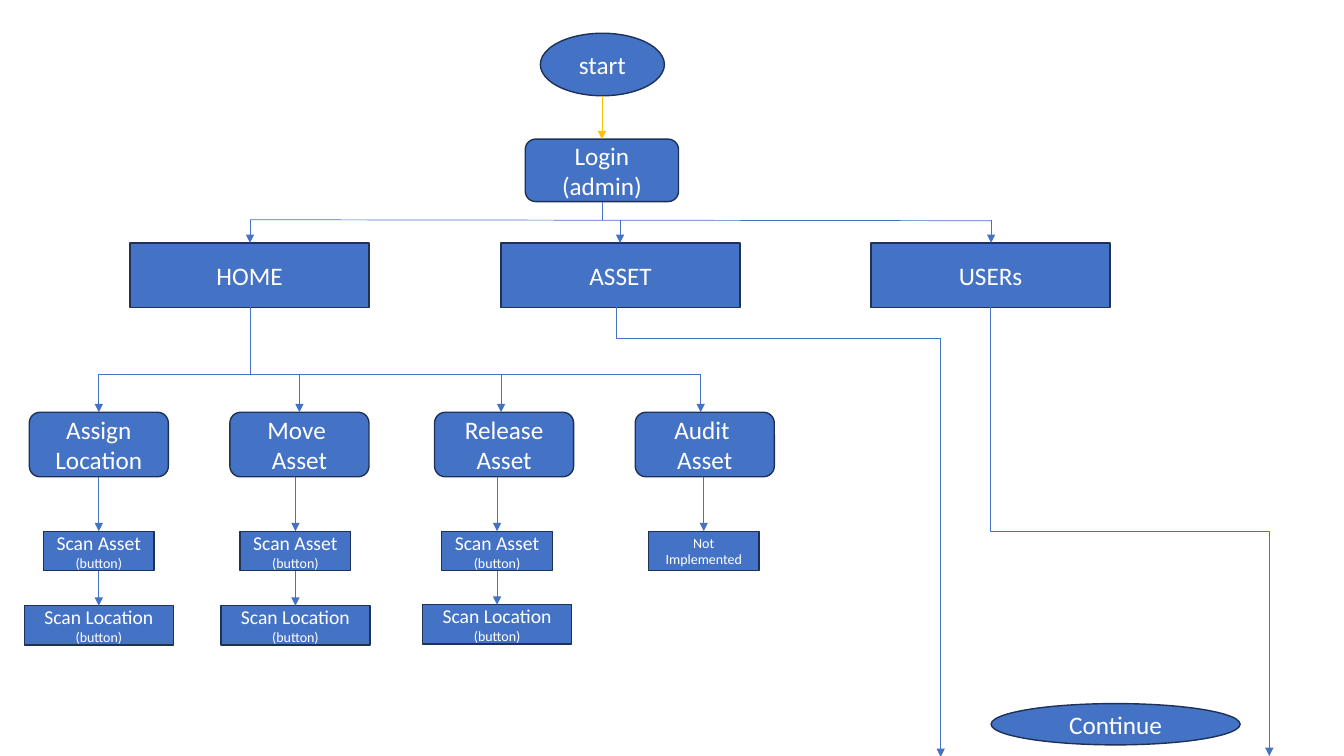
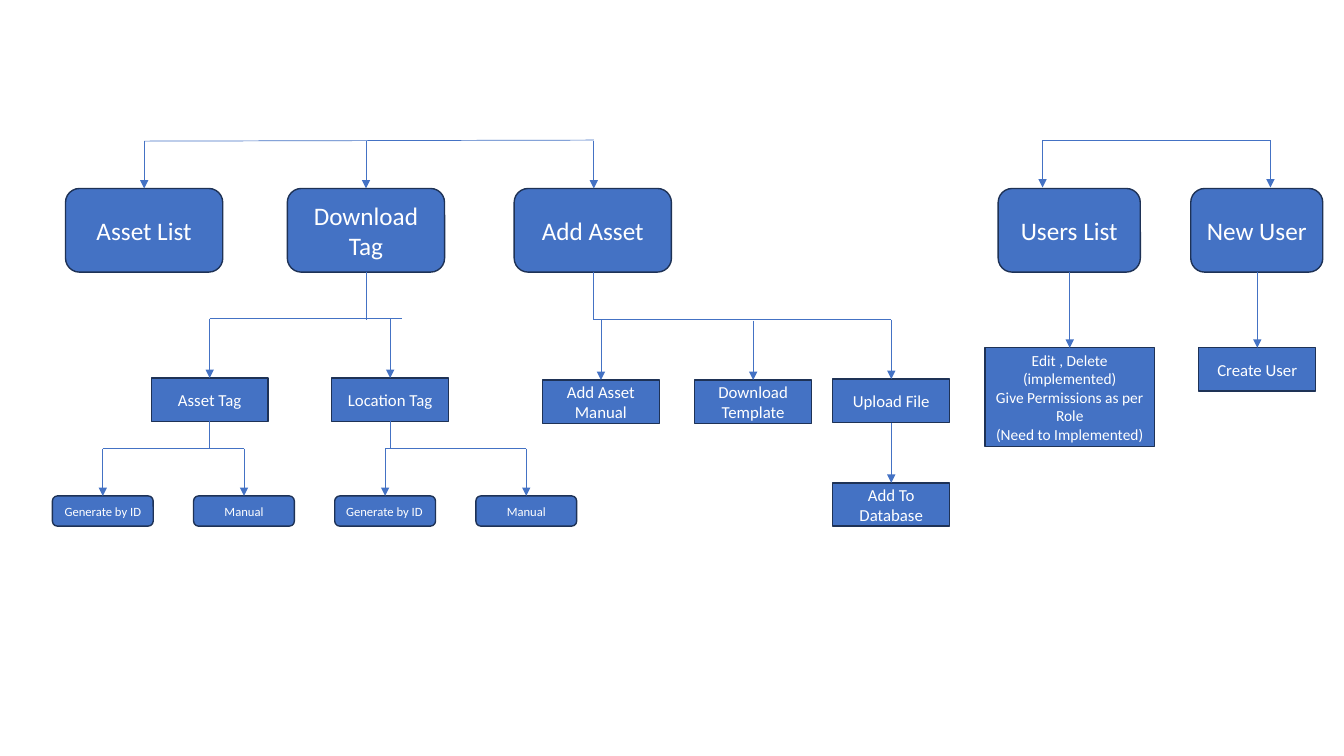
from lxml import etree
from pptx import Presentation
from pptx.dml.color import RGBColor
from pptx.enum import shapes, text as text_enum
from pptx.oxml.ns import qn
from pptx.util import Inches, Pt

COLORS = {"box": "4472C4", "outline": "1E3256", "text": "FFFFFF", "start": "FFC000"}
FONT = "Calibri"
RECT = shapes.MSO_SHAPE.RECTANGLE
ROUND = shapes.MSO_SHAPE.ROUNDED_RECTANGLE
OVAL = shapes.MSO_SHAPE.OVAL
CENTER = text_enum.PP_ALIGN.CENTER
LEFT = text_enum.PP_ALIGN.LEFT


def add_box(slide, text, left, top, width, height, kind=RECT, size=18, note=None, align=CENTER):
    """Draw a flowchart box; note is a smaller last line."""
    shape = slide.shapes.add_shape(kind, Inches(left), Inches(top), Inches(width), Inches(height))
    shape.shadow.inherit = False
    shape.fill.solid()
    shape.fill.fore_color.rgb = RGBColor.from_string(COLORS["box"])
    shape.line.color.rgb = RGBColor.from_string(COLORS["outline"])
    shape.line.width = Pt(1)
    frame = shape.text_frame
    frame.word_wrap = True
    frame.vertical_anchor = text_enum.MSO_ANCHOR.MIDDLE
    paragraph = frame.paragraphs[0]
    paragraph.alignment = align
    lines = [(line, size) for line in text.split("\n")]
    if note:
        lines.append((note, 10))
    for index, (line, points) in enumerate(lines):
        if index:
            paragraph.add_line_break()
        run = paragraph.add_run()
        run.text = line
        run.font.name = FONT
        run.font.size = Pt(points)
        run.font.color.rgb = RGBColor.from_string(COLORS["text"])
    for line_break in paragraph._p.findall(qn("a:br")):
        etree.SubElement(line_break, qn("a:rPr"), sz=str(size * 100))


def add_line(slide, x1, y1, x2, y2, arrow=False, color="box", kind=shapes.MSO_CONNECTOR.STRAIGHT):
    """Draw a thin connector, with an arrowhead at its end if asked."""
    connector = slide.shapes.add_connector(kind, Inches(x1), Inches(y1), Inches(x2), Inches(y2))
    connector.line.color.rgb = RGBColor.from_string(COLORS[color])
    connector.line.width = Pt(0.5)
    properties = connector.element.spPr
    if arrow:
        etree.SubElement(properties.find(qn("a:ln")), qn("a:tailEnd"), type="triangle")
    etree.SubElement(properties, qn("a:effectLst"))
    return connector


presentation = Presentation()
presentation.slide_width = Inches(13.33)
presentation.slide_height = Inches(7.5)
blank = presentation.slide_layouts[6]

# Slide 1: login, main menu and home actions
slide = presentation.slides.add_slide(blank)
add_box(slide, "start", 5.36, 0.33, 1.23, 0.62, kind=OVAL)
add_box(slide, "Login\n(admin)", 5.21, 1.38, 1.52, 0.62, kind=ROUND)
add_line(slide, 5.97, 0.95, 5.97, 1.38, arrow=True, color="start")
add_line(slide, 5.97, 2, 5.97, 2.18)
add_line(slide, 2.48, 2.18, 9.83, 2.19)

for name, left, arrow_x in [("HOME", 1.29, 2.48), ("ASSET", 4.97, 6.15), ("USERs", 8.64, 9.83)]:
    add_box(slide, name, left, 2.41, 2.37, 0.64)
    add_line(slide, arrow_x, 2.18, arrow_x, 2.41, arrow=True)

add_line(slide, 2.48, 3.05, 2.48, 3.71)
add_line(slide, 0.98, 3.71, 6.95, 3.71)
home_actions = [
    ("Assign Location", 0.29, 0.98, 0.98, 6.01),
    ("Move \nAsset", 2.28, 2.97, 2.93, 6.01),
    ("Release Asset", 4.31, 4.97, 4.93, 6),
    ("Audit \nAsset", 6.3, 6.95, 6.98, None),
]
for name, left, arrow_x, center, location_top in home_actions:
    add_box(slide, name, left, 4.09, 1.38, 0.64, kind=ROUND)
    add_line(slide, arrow_x, 3.71, arrow_x, 4.09, arrow=True)
    add_line(slide, center, 4.73, center, 5.27, arrow=True)
    if location_top:
        add_box(slide, "Scan Asset", center - 0.55, 5.27, 1.1, 0.39, size=14, note="(button)")
        add_box(slide, "Scan Location", center - 0.74, location_top, 1.48, 0.39, size=14, note="(button)")
        add_line(slide, center, 5.66, center, location_top, arrow=True)
    else:
        add_box(slide, "Not Implemented", center - 0.55, 5.27, 1.1, 0.39, size=10)

add_line(slide, 6.11, 3.05, 6.11, 3.35)
add_line(slide, 6.11, 3.36, 9.33, 3.36)
add_line(slide, 9.33, 3.36, 9.33, 7.51, arrow=True)
# The elbow leaves downwards, so it is turned by 270 degrees
users_elbow = add_line(slide, 13.43, 3.89, 8.98, 6.66, arrow=True, kind=shapes.MSO_CONNECTOR.ELBOW)
users_elbow.element.spPr.find(qn("a:xfrm")).set("rot", str(270 * 60000))
add_box(slide, "Continue", 9.83, 6.98, 2.47, 0.41, kind=OVAL)

# Slide 2: asset and user pages
slide = presentation.slides.add_slide(blank)
pages = [
    ("Asset List", 0.65, 1.56, 1.43, 1.4),
    ("Download Tag", 2.85, 1.56, 3.63, 1.4),
    ("Add Asset", 5.1, 1.56, 5.89, 1.4),
    ("Users List", 9.9, 1.41, 10.34, 1.39),
    ("New User", 11.81, 1.31, 12.6, 1.39),
]
for name, left, width, arrow_x, arrow_top in pages:
    add_box(slide, name, left, 1.87, width, 0.83, kind=ROUND)
    add_line(slide, arrow_x, arrow_top, arrow_x, arrow_top + 0.47, arrow=True)

tasks = [
    ("Asset Tag", 2.08, 3.16, 3.75),
    ("Location Tag", 3.87, 3.16, 3.75),
    ("Add Asset Manual", 5.96, 3.17, 3.77),
    ("Download Template", 7.47, 3.18, 3.77),
    ("Upload File", 8.84, 3.17, 3.76),
    ("Add To Database", 8.84, 4.2, 4.79),
    ("Create User", 12.47, 2.7, 3.45),
]
for name, center, arrow_top, top in tasks:
    add_box(slide, name, center - 0.58, top, 1.16, 0.43, size=12)
    add_line(slide, center, arrow_top, center, top, arrow=True)

permissions = "Edit , Delete\n(implemented)\nGive Permissions as per Role\n(Need to Implemented)"
add_box(slide, permissions, 9.77, 3.45, 1.68, 0.98, size=11)
add_line(slide, 10.61, 2.7, 10.61, 3.45, arrow=True)

tag_options = [("Generate by ID", CENTER), ("Manual", CENTER), ("Generate by ID", LEFT), ("Manual", CENTER)]
for index, (name, align) in enumerate(tag_options):
    center = 1.02 + 1.4 * index
    add_box(slide, name, center - 0.5, 4.92, 1, 0.3, kind=ROUND, size=9, align=align)
    add_line(slide, center, 4.45, center, 4.92, arrow=True)

branches = [
    (1.43, 1.4, 5.89, 1.39),
    (10.34, 1.39, 12.6, 1.39),
    (3.63, 2.7, 3.63, 3.17),
    (2.08, 3.16, 3.99, 3.16),
    (5.89, 2.7, 5.89, 3.17),
    (5.89, 3.17, 8.84, 3.17),
    (2.08, 4.18, 2.08, 4.45),
    (1.02, 4.45, 2.42, 4.45),
    (3.87, 4.18, 3.87, 4.45),
    (3.82, 4.45, 5.22, 4.45),
]
for branch in branches:
    add_line(slide, *branch)

presentation.save("out.pptx")
